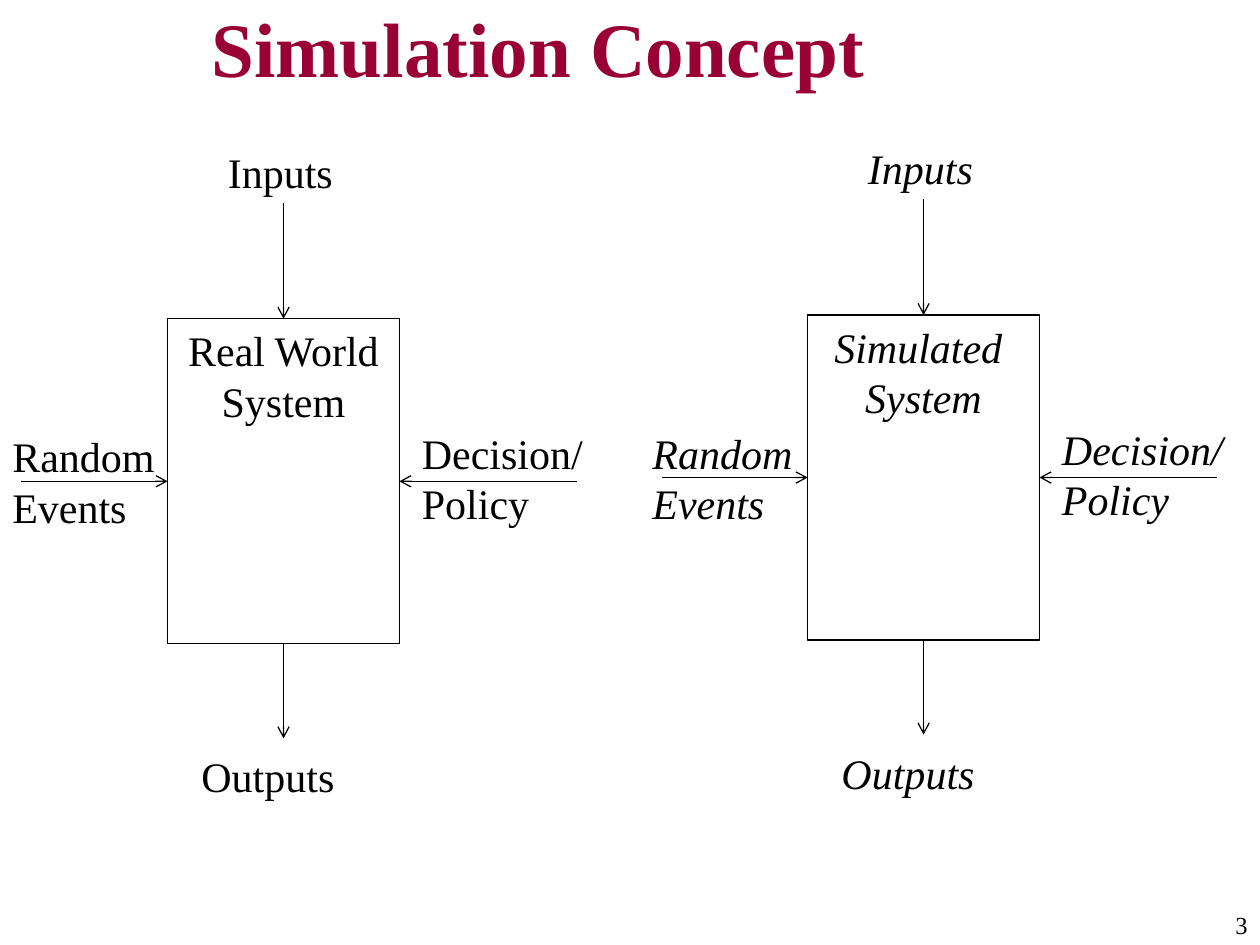
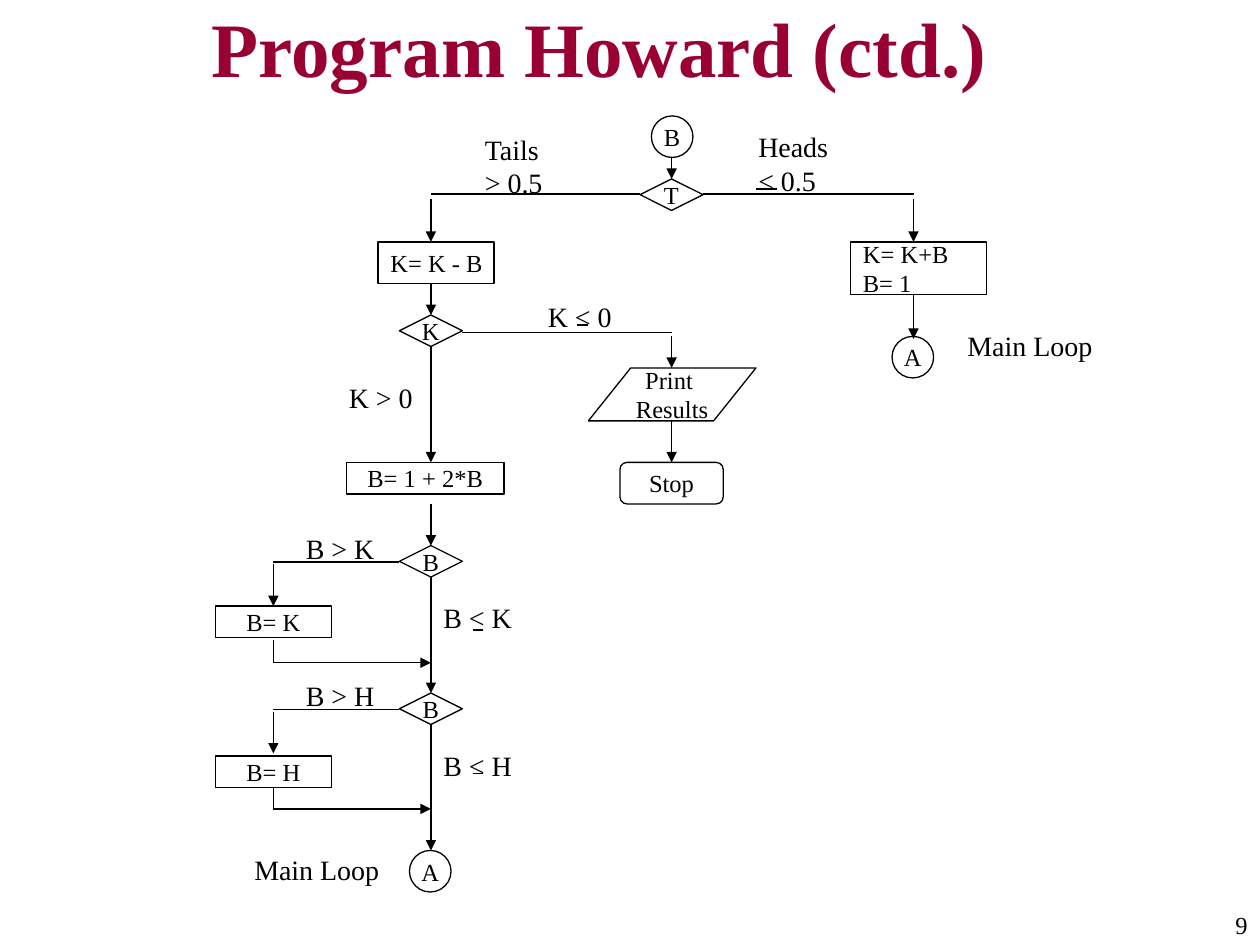
"""Build two slides: a simulation concept diagram and a program flowchart."""
from dataclasses import dataclass

import pptx
import pptx.dml.color
import pptx.enum.shapes
import pptx.enum.text
import pptx.oxml.ns
import pptx.util
from lxml import etree
from pptx.util import Inches

SHAPE = pptx.enum.shapes.MSO_SHAPE
ALIGN = pptx.enum.text.PP_ALIGN
ANCHOR = pptx.enum.text.MSO_ANCHOR
AUTO_SIZE = pptx.enum.text.MSO_AUTO_SIZE
TOP, LEFT, BOTTOM, RIGHT = range(4)


@dataclass(frozen=True)
class Theme:
    font: str = "Times New Roman"
    title_color: str = "990033"
    ink: str = "000000"
    title_size: int = 44
    concept_size: int = 24
    label_size: int = 16
    node_size: int = 14
    line_width: float = 0.75


class Deck:
    def __init__(self, theme):
        self.theme = theme
        self.presentation = pptx.Presentation()
        self.presentation.slide_width = Inches(10)
        self.presentation.slide_height = Inches(7.5)
        self.slide = None

    def add_slide(self, title, number):
        layout = self.presentation.slide_layouts[5]
        self.slide = self.presentation.slides.add_slide(layout)
        placeholder = self.slide.shapes.title
        placeholder.left, placeholder.top = Inches(1.58), Inches(0.08)
        placeholder.width, placeholder.height = Inches(8.42), Inches(0.58)
        self.set_text(placeholder, title, self.theme.title_size,
                      color=self.theme.title_color, bold=True)
        placeholder.text_frame.auto_size = AUTO_SIZE.NONE
        placeholder.text_frame.vertical_anchor = ANCHOR.MIDDLE
        self.text((8.58, 7.17, 1.42, 0.33), number, self.theme.node_size,
                  align=ALIGN.RIGHT, grow=False)

    def set_text(self, shape, words, size, align=ALIGN.LEFT, color=None, bold=False, italic=False):
        shape.text_frame.text = words
        for paragraph in shape.text_frame.paragraphs:
            paragraph.alignment = align
            font = paragraph.font
            font.name, font.size = self.theme.font, pptx.util.Pt(size)
            font.bold, font.italic = bold, italic
            font.color.rgb = pptx.dml.color.RGBColor.from_string(color or self.theme.ink)

    def text(self, box, words, size, align=ALIGN.LEFT, italic=False, grow=True):
        shape = self.slide.shapes.add_textbox(*map(Inches, box))
        self.set_text(shape, words, size, align, italic=italic)
        shape.text_frame.word_wrap = True
        shape.text_frame.auto_size = AUTO_SIZE.SHAPE_TO_FIT_TEXT if grow else AUTO_SIZE.NONE

    def label(self, left, top, words, width=0.83):
        height = 0.37 + 0.27 * words.count("\n")
        self.text((left, top, width, height), words, self.theme.label_size)

    def outline(self, line):
        line.color.rgb = pptx.dml.color.RGBColor.from_string(self.theme.ink)
        line.width = pptx.util.Pt(self.theme.line_width)

    def node(self, kind, box, words, size=None, align=ALIGN.CENTER, adjust=None,
             anchor=ANCHOR.MIDDLE, wrap=False, italic=False):
        shape = self.slide.shapes.add_shape(kind, *map(Inches, box))
        if adjust is not None:
            shape.adjustments[0] = adjust
        shape.shadow.inherit = False
        shape.fill.background()
        self.outline(shape.line)
        self.set_text(shape, words, size or self.theme.node_size, align, italic=italic)
        shape.text_frame.word_wrap = wrap
        shape.text_frame.vertical_anchor = anchor
        return shape

    def circle(self, left, top, letter):
        return self.node(SHAPE.OVAL, (left, top, 0.33, 0.33), letter)

    def decision(self, left, top, letter):
        return self.node(SHAPE.DIAMOND, (left, top, 0.5, 0.25), letter)

    def line(self, start, end, head=None, start_joint=None, end_joint=None):
        connector = self.slide.shapes.add_connector(
            pptx.enum.shapes.MSO_CONNECTOR.STRAIGHT, *map(Inches, (*start, *end)))
        if start_joint:
            connector.begin_connect(*start_joint)
        if end_joint:
            connector.end_connect(*end_joint)
        self.outline(connector.line)
        if head:
            etree.SubElement(connector.get_or_add_ln(),
                             pptx.oxml.ns.qn("a:tailEnd"), type=head)
        etree.SubElement(connector.element.spPr, pptx.oxml.ns.qn("a:effectLst"))

    def arrow(self, start, end, start_joint=None, end_joint=None):
        self.line(start, end, "triangle", start_joint, end_joint)


def draw_system(deck, x, y, name, italic):
    size = deck.theme.concept_size
    system = deck.node(SHAPE.RECTANGLE, (x + 1.33, y + 2.53, 1.84, 2.58), name, size,
                       anchor=ANCHOR.TOP, wrap=True, italic=italic)
    deck.line((x + 2.25, y + 1.61), (x + 2.25, y + 2.53), "arrow", end_joint=(system, TOP))
    deck.line((x + 2.25, y + 5.11), (x + 2.25, y + 5.86), "arrow", start_joint=(system, BOTTOM))
    deck.line((x + 0.17, y + 3.82), (x + 1.33, y + 3.82), "arrow", end_joint=(system, LEFT))
    deck.line((x + 4.58, y + 3.82), (x + 3.17, y + 3.82), "arrow", end_joint=(system, RIGHT))
    for left, top, width, height, words in (
            (1.71, 1.11, 1.08, 0.5, "Inputs"),
            (0, 3.37, 1.33, 0.9, "Random\nEvents"),
            (1.5, 5.91, 1.51, 0.5, "Outputs"),
            (3.25, 3.34, 1.58, 0.9, "Decision/\nPolicy")):
        deck.text((x + left, y + top, width, height), words, size, italic=italic)


def draw_cap(deck, top, limit, box_top, arrow_end, return_start, return_y):
    test = deck.decision(3.17, top, "B")
    box = deck.node(SHAPE.RECTANGLE, (1.71, box_top, 0.92, 0.25), f"B= {limit}")
    touches_top = arrow_end == box_top
    touches_bottom = return_start == box_top + 0.25
    deck.line((3.17, top + 0.13), (2.17, top + 0.13))
    deck.arrow((2.17, top + 0.15), (2.17, arrow_end),
               end_joint=(box, TOP) if touches_top else None)
    deck.line((2.17, return_start), (2.17, return_y),
              start_joint=(box, BOTTOM) if touches_bottom else None)
    deck.arrow((2.17, return_y), (3.42, return_y))
    deck.label(2.33, top - 0.16, f"B > {limit}")
    deck.label(3.42, top + 0.39, f"B < {limit}")
    return test


def draw_flowchart(deck):
    deck.circle(5.17, 0.92, "B")
    toss = deck.decision(5.08, 1.42, "T")
    deck.node(SHAPE.RECTANGLE, (3, 1.92, 0.92, 0.33), "K= K - B", align=ALIGN.LEFT)
    deck.node(SHAPE.RECTANGLE, (6.75, 1.92, 1.08, 0.42), "K= K+B\nB= 1", align=ALIGN.LEFT)
    broke = deck.decision(3.17, 2.5, "K")
    deck.node(SHAPE.PARALLELOGRAM, (4.67, 2.92, 1.33, 0.42), "Print \nResults", adjust=0.8)
    stop = deck.node(SHAPE.ROUNDED_RECTANGLE, (4.92, 3.67, 0.82, 0.33), "Stop", adjust=0.17)
    deck.node(SHAPE.RECTANGLE, (2.75, 3.67, 1.25, 0.25), "B= 1 + 2*B")
    deck.circle(7.08, 2.67, "A")
    deck.circle(3.25, 6.75, "A")
    over_capital = draw_cap(deck, 4.33, "K", 4.81, 4.81, 5.08, 5.26)
    over_house = draw_cap(deck, 5.5, "H", 6, 5.98, 6.25, 6.42)

    deck.line((5.08, 1.54), (3.42, 1.54))
    deck.line((5.58, 1.54), (7.25, 1.54))
    deck.line((3.67, 2.64), (5.33, 2.64))
    deck.arrow((5.33, 1.25), (5.33, 1.42), end_joint=(toss, TOP))
    for x in (3.42, 7.25):
        deck.arrow((x, 1.58), (x, 1.92))
    deck.arrow((7.25, 2.33), (7.25, 2.69))
    deck.arrow((3.42, 2.25), (3.42, 2.5), end_joint=(broke, TOP))
    deck.arrow((5.33, 2.67), (5.33, 2.92))
    deck.arrow((5.33, 3.33), (5.33, 3.67), end_joint=(stop, TOP))
    deck.arrow((3.42, 2.75), (3.42, 3.67), start_joint=(broke, BOTTOM))
    deck.arrow((3.42, 4), (3.42, 4.33), end_joint=(over_capital, TOP))
    deck.arrow((3.42, 4.58), (3.42, 5.5), (over_capital, BOTTOM), (over_house, TOP))
    deck.arrow((3.42, 5.75), (3.42, 6.75), start_joint=(over_house, BOTTOM))

    for left, top in ((7.58, 2.56), (1.92, 6.72)):
        deck.label(left, top, "Main Loop", 1.33)
    deck.label(5.92, 0.98, "Heads\n< 0.5")
    deck.label(3.75, 1, "Tails\n> 0.5")
    deck.label(4.25, 2.33, "K < 0")
    deck.label(2.67, 2.97, "K > 0")
    for start, end, y in ((6, 6.17, 1.5), (4.58, 4.67, 2.58),
                          (3.75, 3.83, 5), (3.75, 3.83, 6.14)):
        deck.line((start, y), (end, y))


def main():
    deck = Deck(Theme())
    deck.add_slide("Simulation Concept", "3")
    draw_system(deck, 0, 0, "Real World\nSystem", italic=False)
    draw_system(deck, 5.08, -0.03, "Simulated \nSystem", italic=True)
    deck.add_slide("Program Howard (ctd.)", "9")
    draw_flowchart(deck)
    deck.presentation.save("out.pptx")


if __name__ == "__main__":
    main()
